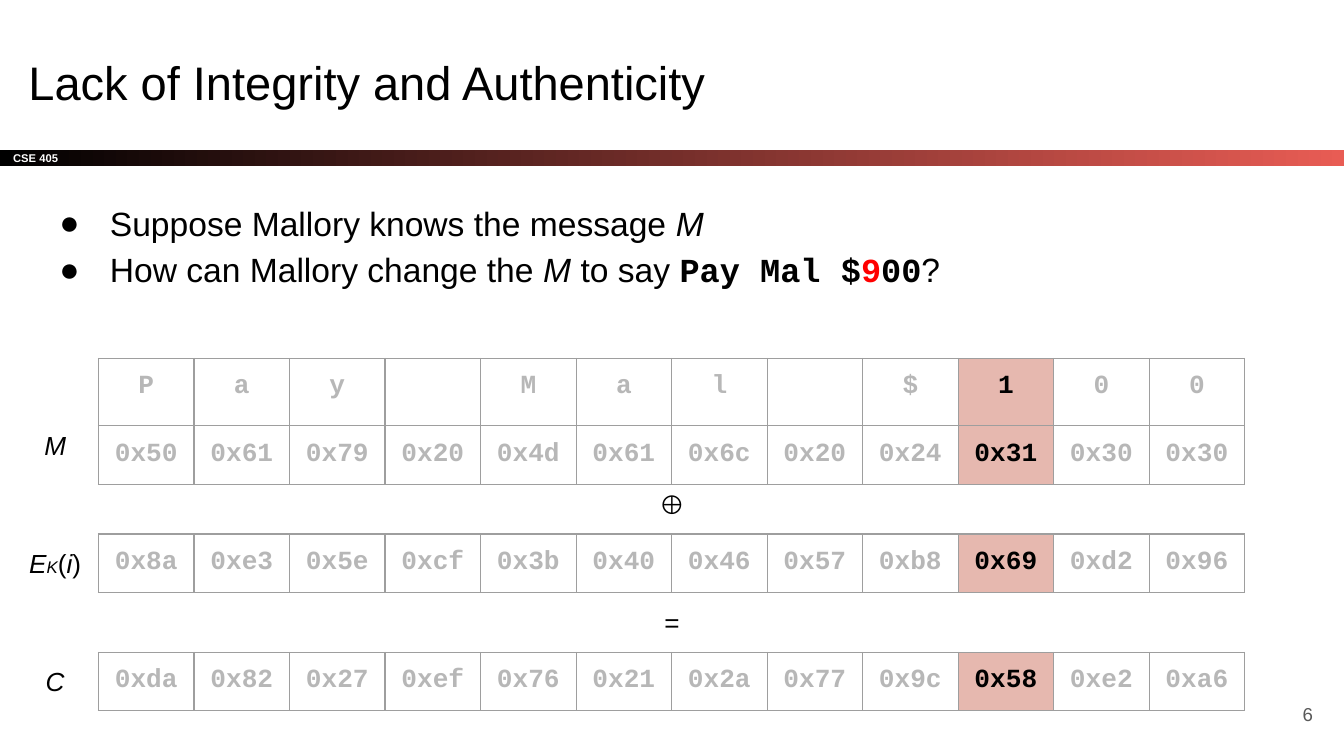
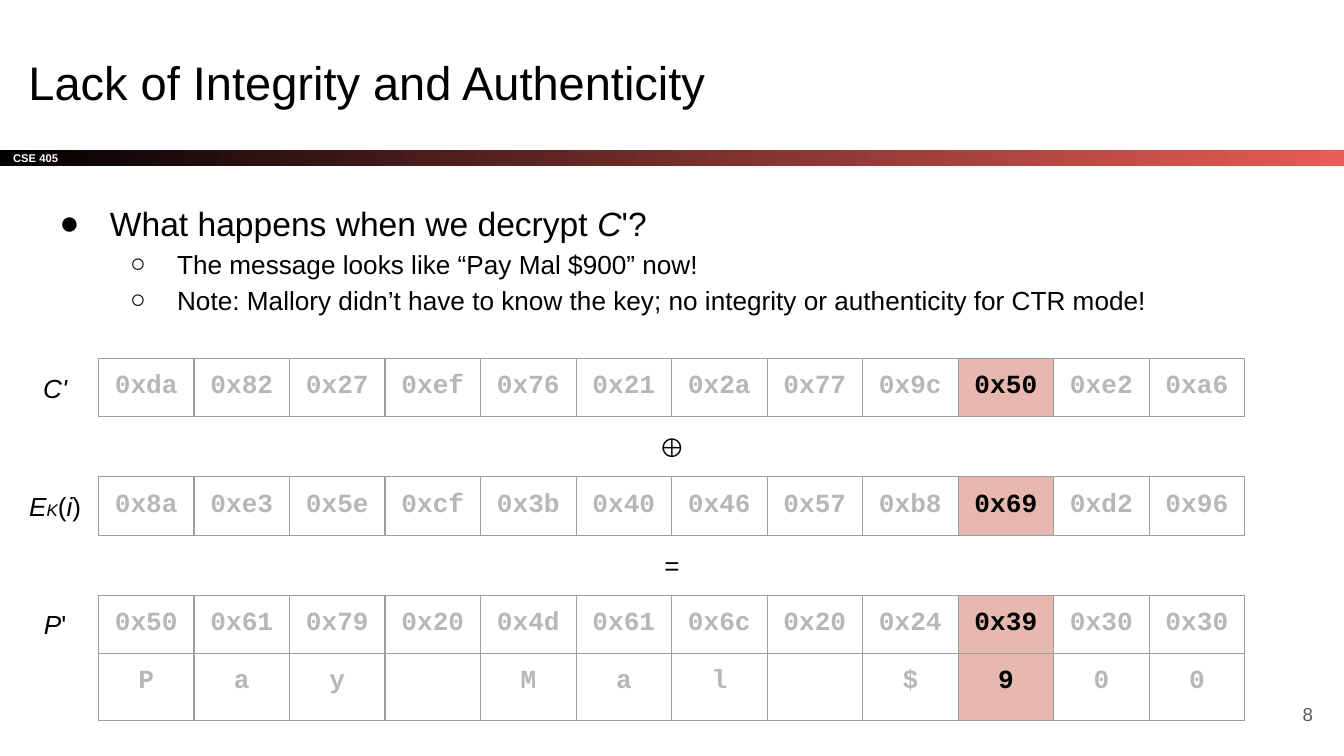
from lxml import etree
from pptx import Presentation
from pptx.dml.color import RGBColor
from pptx.enum.shapes import MSO_SHAPE
from pptx.enum.text import MSO_ANCHOR, PP_ALIGN
from pptx.oxml.ns import qn
from pptx.util import Pt

LEFT, CENTER, RIGHT = PP_ALIGN.LEFT, PP_ALIGN.CENTER, PP_ALIGN.RIGHT
TOP, MIDDLE = MSO_ANCHOR.TOP, MSO_ANCHOR.MIDDLE
RECTANGLE = MSO_SHAPE.RECTANGLE

BLACK = RGBColor(0x00, 0x00, 0x00)
WHITE = RGBColor(0xFF, 0xFF, 0xFF)
RED = RGBColor(0xFF, 0x00, 0x00)
CORAL = RGBColor(0xE8, 0x5C, 0x54)
PINK = RGBColor(0xE6, 0xB8, 0xAF)
MUTED = RGBColor(0xB7, 0xB7, 0xB7)
BORDER = RGBColor(0x9E, 0x9E, 0x9E)
PAGE_GRAY = RGBColor(0x59, 0x59, 0x59)
SANS, MONO = "Arial", "Courier New"

# Content: text is a list of (words, style) runs
TITLE = "Lack of Integrity and Authenticity"
COURSE = "CSE 405"
PLAIN, ITALIC = {}, {"italic": True}
CODE = {"font": MONO, "bold": True}
CODE_RED = {**CODE, "color": RED}

PAY_100 = "Pay Mal $100"
PAY_900 = "Pay Mal $900"
PAD = "8a e3 5e cf 3b 40 46 57 b8 69 d2 96"
CIPHER = "da 82 27 ef 76 21 2a 77 9c 58 e2 a6"
CIPHER_CHANGED = "da 82 27 ef 76 21 2a 77 9c 50 e2 a6"
CHANGED_COLUMN = 9
OPERATORS = ["⊕", "="]
PAD_LABEL = [("E", ITALIC), ("K", {"italic": True, "size": 9}),
             ("(", PLAIN), ("i", ITALIC), (")", PLAIN)]


def hex_cells(codes):
    return ["0x" + code for code in codes.split()]


def message_hex(message):
    return [f"0x{ord(letter):02x}" for letter in message]


def letters(message):
    return [letter.strip() for letter in message]


SLIDES = [
    {
        "page": "6",
        "bullets": [
            (0, [("Suppose Mallory knows the message ", PLAIN), ("M", ITALIC)]),
            (0, [("How can Mallory change the ", PLAIN), ("M", ITALIC),
                 (" to say ", PLAIN), ("Pay Mal $", CODE), ("9", CODE_RED),
                 ("00", CODE), ("?", PLAIN)]),
        ],
        "letters_first": True,
        "blocks": [
            ([("M", ITALIC)], [letters(PAY_100), message_hex(PAY_100)]),
            (PAD_LABEL, [hex_cells(PAD)]),
            ([("C", ITALIC)], [hex_cells(CIPHER)]),
        ],
    },
    {
        "page": "8",
        "bullets": [
            (0, [("What happens when we decrypt ", PLAIN), ("C", ITALIC), ("'?", PLAIN)]),
            (1, [("The message looks like “Pay Mal $900” now!", PLAIN)]),
            (1, [("Note: Mallory didn’t have to know the key; "
                  "no integrity or authenticity for CTR mode!", PLAIN)]),
        ],
        "letters_first": False,
        "blocks": [
            ([("C'", ITALIC)], [hex_cells(CIPHER_CHANGED)]),
            (PAD_LABEL, [hex_cells(PAD)]),
            ([("P", ITALIC), ("'", PLAIN)], [message_hex(PAY_900), letters(PAY_900)]),
        ],
    },
]

# Layout, in points
WIDTH, HEIGHT = 720, 405
INSET = 7.2
TITLE_BOX = (8, 21.2, 671, 45.4)
BAND_BOX = (0, 80.2, WIDTH, 8.6)
BODY_BOX = (15.8, 98.3, 671, 131.8)
PAGE_BOX = (667.2, 367.2, 43.2, 31)
LABEL_LEFT, OPERATOR_LEFT = 8, 338.4
SMALL_WIDTH, SMALL_HEIGHT = 43.2, 31.7
TABLE_LEFT, TABLE_TOP = 52.8, 192.1
TABLE_FRAME = 236.2
COLUMN_WIDTH, ROW_HEIGHT = 51.18, 31
BLOCK_PITCH = 63.4
# Bullet level: sign, text size, left margin, hanging indent
LEVELS = [("●", 18, 36, 27), ("○", 14, 72, 25.2)]


def format_run(run, size, color=BLACK, font=SANS, bold=False, italic=False):
    run.font.size = Pt(size)
    run.font.name = font
    run.font.bold = bold
    run.font.italic = italic
    run.font.color.rgb = color


def add_runs(paragraph, runs, size):
    for words, style in runs:
        run = paragraph.add_run()
        run.text = words
        format_run(run, **{"size": size, **style})


def set_frame(text_frame, anchor=TOP):
    text_frame.word_wrap = True
    text_frame.vertical_anchor = anchor
    text_frame.margin_left = text_frame.margin_right = Pt(INSET)
    text_frame.margin_top = text_frame.margin_bottom = Pt(INSET)


def place(shape, box):
    shape.left, shape.top, shape.width, shape.height = map(Pt, box)


def add_text(slide, box, runs, size, align=LEFT, anchor=TOP):
    text_frame = slide.shapes.add_textbox(*map(Pt, box)).text_frame
    set_frame(text_frame, anchor)
    paragraph = text_frame.paragraphs[0]
    paragraph.alignment = align
    add_runs(paragraph, runs, size)


def add_child(parent, tag, **attributes):
    child = etree.SubElement(parent, qn(tag))
    for name, value in attributes.items():
        child.set(name, str(value))
    return child


# Title, band and page number shared by the slides
def add_frame(slide, page):
    title = slide.shapes.title
    place(title, TITLE_BOX)
    set_frame(title.text_frame, MIDDLE)
    title.text_frame.text = TITLE
    paragraph = title.text_frame.paragraphs[0]
    paragraph.alignment = LEFT
    format_run(paragraph.runs[0], 25.2)

    band = slide.shapes.add_shape(RECTANGLE, *map(Pt, BAND_BOX))
    band.shadow.inherit = False
    band.line.fill.background()
    band.fill.gradient()
    band.fill.gradient_angle = 0
    for stop, color in zip(band.fill.gradient_stops, (BLACK, CORAL)):
        stop.color.rgb = color
    set_frame(band.text_frame, MIDDLE)
    band.text_frame.text = COURSE
    paragraph = band.text_frame.paragraphs[0]
    paragraph.alignment = LEFT
    format_run(paragraph.runs[0], 6, WHITE, bold=True)

    add_text(slide, PAGE_BOX, [(page, {"color": PAGE_GRAY})], 10, RIGHT, MIDDLE)


def add_bullets(slide, bullets):
    text_frame = slide.shapes.add_textbox(*map(Pt, BODY_BOX)).text_frame
    set_frame(text_frame)
    for index, (level, runs) in enumerate(bullets):
        paragraph = text_frame.add_paragraph() if index else text_frame.paragraphs[0]
        sign, size, margin, hanging = LEVELS[level]
        paragraph.level = level
        paragraph.line_spacing = 1.15
        properties = paragraph._p.get_or_add_pPr()
        properties.set("marL", str(Pt(margin)))
        properties.set("indent", str(-Pt(hanging)))
        bullet_color = add_child(properties, "a:buClr")
        add_child(bullet_color, "a:srgbClr", val=BLACK)
        add_child(properties, "a:buFont", typeface=SANS)
        add_child(properties, "a:buChar", char=sign)
        add_runs(paragraph, runs, size)


def set_borders(cell):
    properties = cell._tc.get_or_add_tcPr()
    for side in ("a:lnL", "a:lnR", "a:lnT", "a:lnB"):
        line = add_child(properties, side, w=Pt(0.75))
        add_child(add_child(line, "a:solidFill"), "a:srgbClr", val=BORDER)


def add_byte_table(slide, top, rows, blank_font):
    columns = len(rows[0])
    frame = slide.shapes.add_table(
        len(rows), columns, Pt(TABLE_LEFT), Pt(top), Pt(TABLE_FRAME), Pt(TABLE_FRAME))
    table = frame.table
    table.first_row = table.horz_banding = False
    for column in table.columns:
        column.width = Pt(COLUMN_WIDTH)
    for row_index, row in enumerate(rows):
        table.rows[row_index].height = Pt(ROW_HEIGHT)
        for column_index, value in enumerate(row):
            cell = table.cell(row_index, column_index)
            changed = column_index == CHANGED_COLUMN
            cell.margin_left = cell.margin_right = Pt(INSET)
            cell.margin_top = cell.margin_bottom = Pt(INSET)
            set_borders(cell)
            if changed:
                cell.fill.solid()
                cell.fill.fore_color.rgb = PINK
            else:
                cell.fill.background()
            paragraph = cell.text_frame.paragraphs[0]
            paragraph.alignment = CENTER
            if value:
                style = {**CODE, "color": BLACK if changed else MUTED}
                add_runs(paragraph, [(value, style)], 14)
            elif blank_font:
                end = add_child(paragraph._p, "a:endParaRPr", sz=1800)
                add_child(end, "a:latin", typeface=blank_font)
    # The frame keeps its own size; columns and rows set what is drawn
    frame.width = frame.height = Pt(TABLE_FRAME)


# Byte tables at an equal pitch, with labels beside and operators between
def add_blocks(slide, blocks, letters_first):
    first_top = TABLE_TOP + (ROW_HEIGHT - 0.4 if letters_first else 0)
    blank_font = MONO if letters_first else None
    for index, (label, rows) in enumerate(blocks):
        top = first_top + index * BLOCK_PITCH
        add_byte_table(slide, top if index else TABLE_TOP, rows, blank_font)
        add_text(slide, (LABEL_LEFT, top, SMALL_WIDTH, SMALL_HEIGHT), label, 14, CENTER)
    for index, operator in enumerate(OPERATORS):
        top = first_top + (index + 0.5) * BLOCK_PITCH
        add_text(slide, (OPERATOR_LEFT, top, SMALL_WIDTH, SMALL_HEIGHT),
                 [(operator, PLAIN)], 14, CENTER)


def main():
    presentation = Presentation()
    presentation.slide_width, presentation.slide_height = Pt(WIDTH), Pt(HEIGHT)
    title_only = presentation.slide_layouts[5]
    for content in SLIDES:
        slide = presentation.slides.add_slide(title_only)
        add_frame(slide, content["page"])
        add_bullets(slide, content["bullets"])
        add_blocks(slide, content["blocks"], content["letters_first"])
    presentation.save("out.pptx")


if __name__ == "__main__":
    main()
